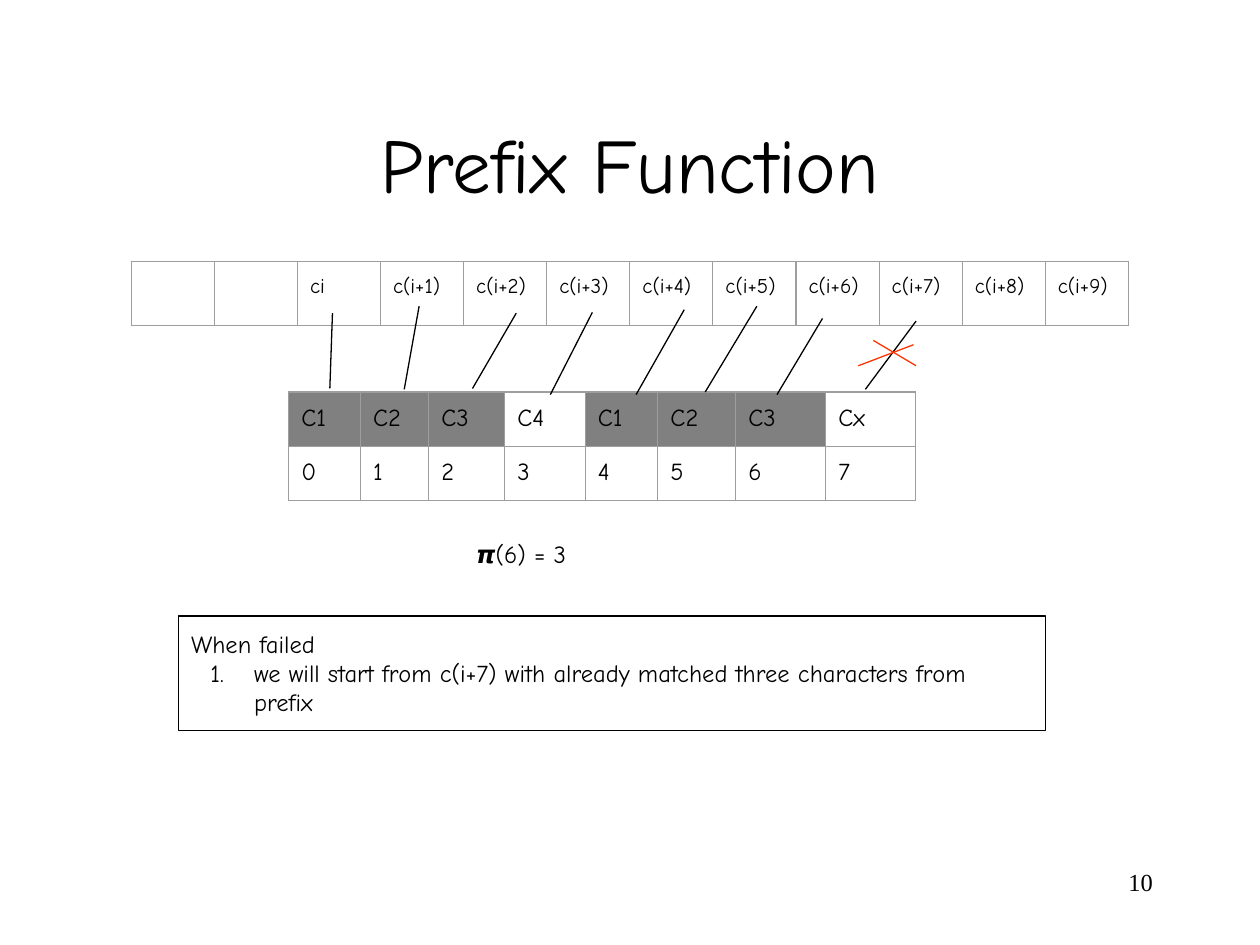
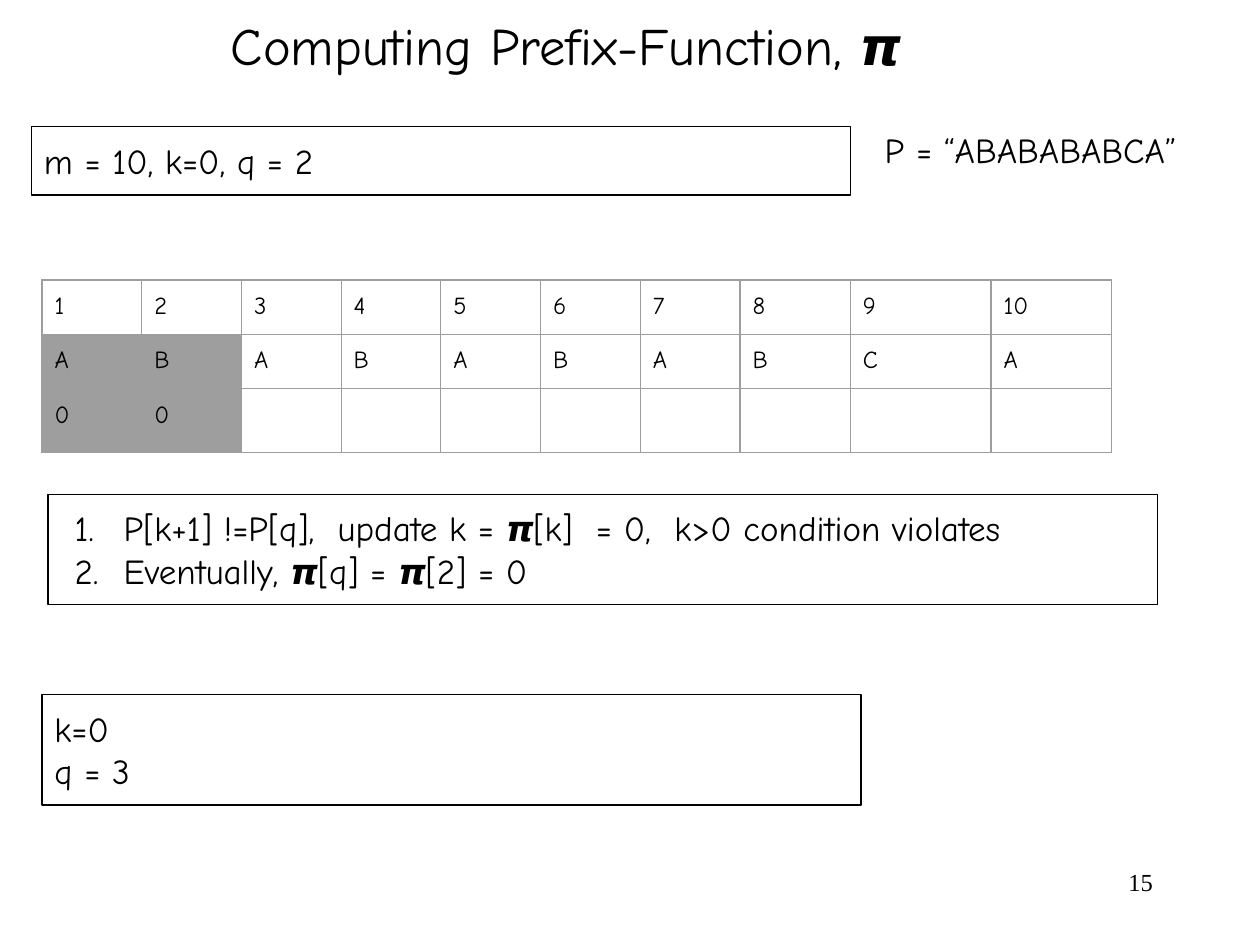
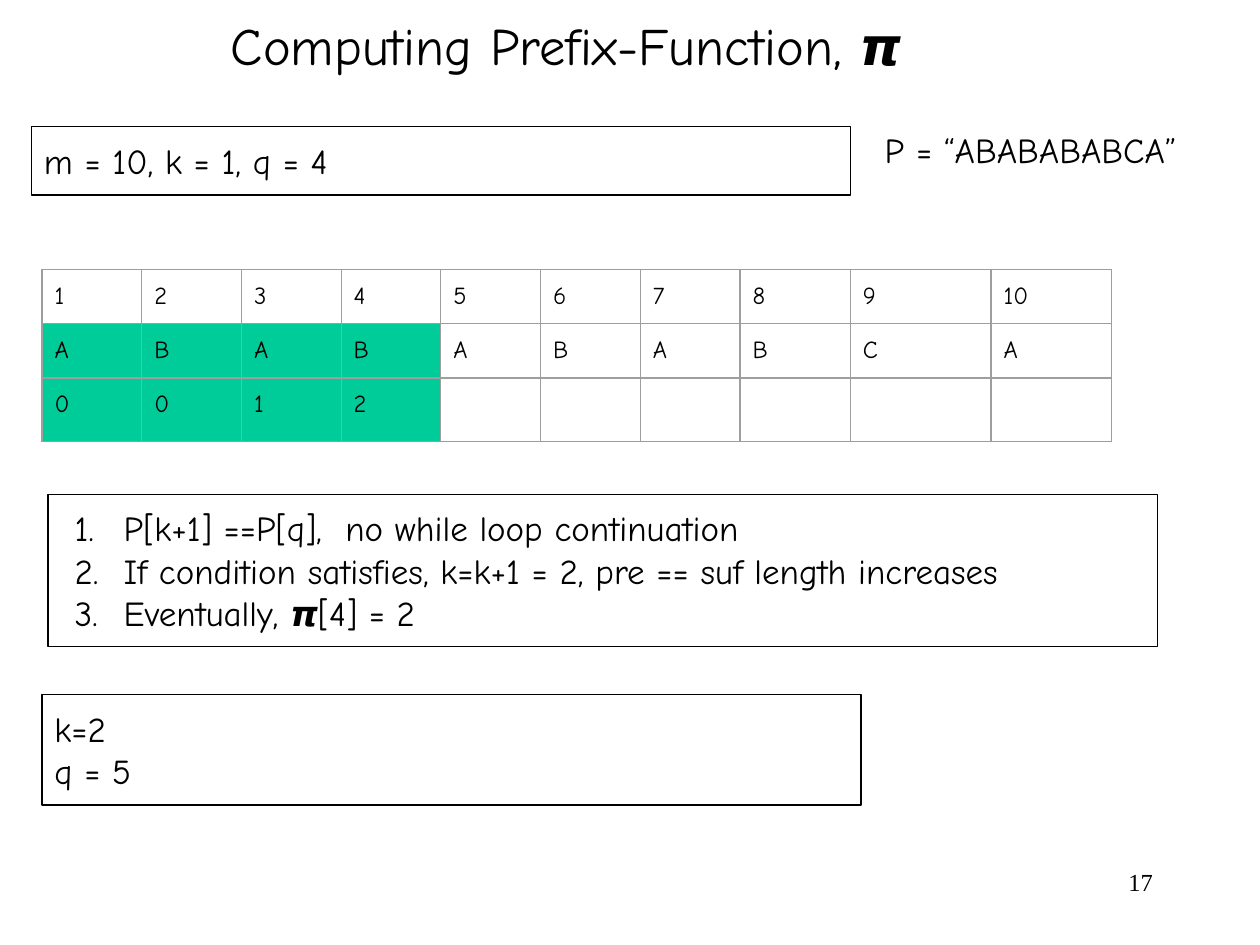
"""Build three slides on the prefix function of string matching."""
from lxml.etree import SubElement
from pptx import Presentation
from pptx.dml.color import RGBColor
from pptx.enum.shapes import MSO_CONNECTOR as Connector, MSO_SHAPE as Shape
from pptx.enum.text import MSO_ANCHOR as Anchor, MSO_AUTO_SIZE as AutoSize, PP_ALIGN as Align
from pptx.oxml.ns import qn
from pptx.util import Pt

BLACK = RGBColor(0x00, 0x00, 0x00)
WHITE = RGBColor(0xFF, 0xFF, 0xFF)
RED = RGBColor(0xFF, 0x33, 0x00)
MATCH_GRAY = RGBColor(0x80, 0x80, 0x80)
DONE_GRAY = RGBColor(0x9E, 0x9E, 0x9E)
DONE_GREEN = RGBColor(0x00, 0xCC, 0x99)
GRID = RGBColor(0x9E, 0x9E, 0x9E)

HAND_FONT = "Comic Neue"
NUMBER_FONT = "Times New Roman"
INSET = 7.2
LINE_WIDTH = 0.75
PATTERN = "ABABABABCA"
PATTERN_WIDTHS = [57] * 7 + [63, 80.5, 69]


def write(frame, text, *, size, font=HAND_FONT, color=BLACK, align=Align.LEFT,
          anchor=Anchor.TOP, number_from=None, hanging=28):
    """Fill a text frame, numbering the lines from index number_from on."""
    frame.vertical_anchor = anchor
    for paragraph_no, line in enumerate(text.split("\n")):
        paragraph = frame.paragraphs[0] if paragraph_no == 0 else frame.add_paragraph()
        paragraph.alignment = align
        paragraph.space_before = Pt(0)
        if number_from is not None:
            numbered = paragraph_no >= number_from
            props = paragraph._p.get_or_add_pPr()
            props.set("marL", str(Pt(36) if numbered else 0))
            props.set("indent", str(-Pt(hanging) if numbered else 0))
            if numbered:
                SubElement(props, qn("a:buFont"), typeface=font)
                SubElement(props, qn("a:buAutoNum"), type="arabicPeriod")
            else:
                SubElement(props, qn("a:buNone"))
        paragraph.font.size = Pt(size)
        run = paragraph.add_run()
        run.text = line
        run.font.size = Pt(size)
        run.font.name = font
        run.font.color.rgb = color


class Deck:
    """Hold the shared style and the current slide."""

    def __init__(self):
        self.prs = Presentation()
        self.prs.slide_width, self.prs.slide_height = Pt(720), Pt(540)
        self.slide = None

    def start(self, page):
        self.slide = self.prs.slides.add_slide(self.prs.slide_layouts[1])
        self.label(str(page), 516, 488, 150, 40, size=14, font=NUMBER_FONT, align=Align.RIGHT)

    def prepare(self, holder, box):
        holder.left, holder.top, holder.width, holder.height = map(Pt, box)
        frame = holder.text_frame
        frame.auto_size = AutoSize.NONE
        frame.word_wrap = True
        frame.margin_left = frame.margin_right = Pt(INSET)
        frame.margin_top = frame.margin_bottom = Pt(INSET)
        return frame

    def outline(self, holder):
        holder.line.color.rgb = BLACK
        holder.line.width = Pt(LINE_WIDTH)

    def title(self, text, *box, **style):
        write(self.prepare(self.slide.shapes.title, box), text, align=Align.CENTER, **style)

    def steps(self, text, *box, **style):
        body = self.slide.placeholders[1]
        self.outline(body)
        write(self.prepare(body, box), text, **style)

    def label(self, text, *box, **style):
        holder = self.slide.shapes.add_textbox(*map(Pt, box))
        write(self.prepare(holder, box), text, **style)

    def state(self, text, *box, **style):
        panel = self.slide.shapes.add_shape(Shape.RECTANGLE, *map(Pt, box))
        panel.shadow.inherit = False
        panel.fill.background()
        self.outline(panel)
        write(self.prepare(panel, box), text, **style)

    def line(self, *ends, color=BLACK):
        link = self.slide.shapes.add_connector(Connector.STRAIGHT, *map(Pt, ends))
        link.line.color.rgb = color
        link.line.width = Pt(LINE_WIDTH)
        SubElement(link._element.spPr, qn("a:effectLst"))

    def table(self, rows, left, top, widths, heights, size=14, fills=None):
        fills = fills or {}
        grid = self.slide.shapes.add_table(
            len(rows), len(widths), Pt(left), Pt(top), Pt(sum(widths)), Pt(sum(heights))).table
        grid.first_row = grid.horz_banding = False
        for column, width in zip(grid.columns, widths):
            column.width = Pt(width)
        for row_no, (texts, height) in enumerate(zip(rows, heights)):
            grid.rows[row_no].height = Pt(height)
            for col_no, text in enumerate(texts):
                self.cell(grid.cell(row_no, col_no), text, size, fills.get((row_no, col_no)))

    def cell(self, cell, text, size, fill):
        cell.margin_left = cell.margin_right = Pt(INSET)
        cell.margin_top = cell.margin_bottom = Pt(INSET)
        if text:
            write(cell.text_frame, text, size=size)
        props = cell._tc.get_or_add_tcPr()
        for side in ("lnL", "lnR", "lnT", "lnB"):
            border = SubElement(props, qn(f"a:{side}"), w=str(Pt(LINE_WIDTH)))
            paint = SubElement(border, qn("a:solidFill"))
            SubElement(paint, qn("a:srgbClr"), val=str(GRID))
        if fill is None:
            cell.fill.background()
        else:
            cell.fill.solid()
            cell.fill.fore_color.rgb = fill


def matching_slide(deck):
    """Show a failed match and where it resumes."""
    deck.start(10)
    deck.title("Prefix Function", 54, 48, 612, 90, size=44, anchor=Anchor.MIDDLE)

    prefix = ["C1", "C2", "C3", "C4", "C1", "C2", "C3", "Cx"]
    matched = {(0, col): MATCH_GRAY for col in (0, 1, 2, 4, 5, 6)}
    deck.table([prefix, [str(i) for i in range(8)]], 165, 224,
               [41, 39, 43.5, 46, 41.5, 44.5, 51.5, 51.5], [31, 31], fills=matched)
    deck.label("𝞹(6) = 3", 265, 301, 80, 32, size=14)
    stream = ["", "", "ci"] + [f"c(i+{i})" for i in range(1, 10)]
    deck.table([stream], 75, 149.5, [47.5] * 12, [36], size=12)

    comparisons = [
        (190, 179, 188.5, 222), (239.5, 175, 231, 222.5),
        (295, 179, 270, 222), (338.5, 178.5, 314.5, 225.5),
        (391, 177, 363.5, 225.5), (432.5, 175, 403, 224),
        (470, 182, 444, 225.5), (523.5, 183.5, 494.5, 222.5),
    ]
    for ends in comparisons:
        deck.line(*ends)
    for ends in [(499, 194.5, 523.5, 209), (490.5, 209, 522, 197)]:
        deck.line(*ends, color=RED)

    deck.steps("When failed\nwe will start from c(i+7) with already matched three "
               "characters from prefix", 102, 352, 495.5, 65.5,
               size=14, number_from=1, hanging=25)


def computing_slide(deck, page, before, prefix_lengths, table_top, color, steps, after):
    """Show one round of computing the prefix function."""
    deck.start(page)
    deck.title("Computing Prefix-Function, 𝞹", 0, 0, 647, 51, size=30)
    deck.state(before, 18, 72.5, 468, 39, size=20)

    count = len(PATTERN)
    rows = [[str(i + 1) for i in range(count)], list(PATTERN),
            prefix_lengths + [""] * (count - len(prefix_lengths))]
    fills = {(0, col): WHITE for col in range(count)}
    fills.update({(row, col): color for row in (1, 2) for col in range(len(prefix_lengths))})
    deck.table(rows, 24, table_top, PATTERN_WIDTHS, [31, 31, 36], fills=fills)

    deck.label(f"P = “{PATTERN}”", 498.5, 66, 204.5, 39, size=20)
    deck.steps("\n".join(steps), 27.5, 282.5, 634, 15 + 24 * len(steps), size=20, number_from=0)
    deck.state(after, 24, 397, 468, 63, size=20)


def main():
    """Build and save the deck."""
    deck = Deck()
    matching_slide(deck)
    computing_slide(
        deck, 15, "m = 10, k=0, q = 2", ["0", "0"], 160, DONE_GRAY,
        ["P[k+1] !=P[q],  update k = 𝞹[k]  = 0,  k>0 condition violates",
         "Eventually, 𝞹[q] = 𝞹[2] = 0"],
        "k=0\nq = 3")
    computing_slide(
        deck, 17, "m = 10, k = 1, q = 4", ["0", "0", "1", "2"], 154, DONE_GREEN,
        ["P[k+1] ==P[q],  no while loop continuation",
         "If condition satisfies, k=k+1 = 2, pre == suf length increases",
         "Eventually, 𝞹[4] = 2"],
        "k=2\nq = 5")
    deck.prs.save("out.pptx")


if __name__ == "__main__":
    main()
